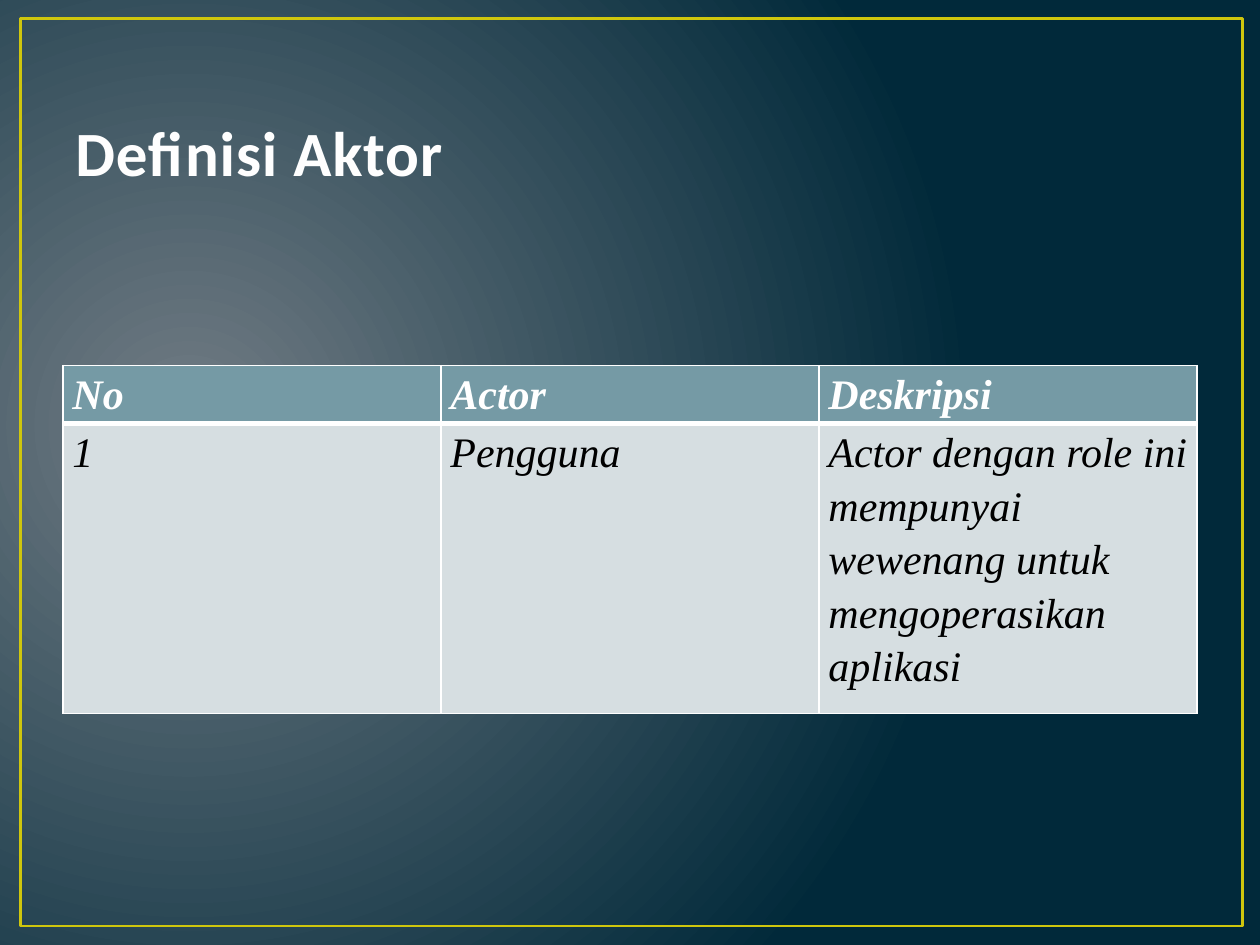
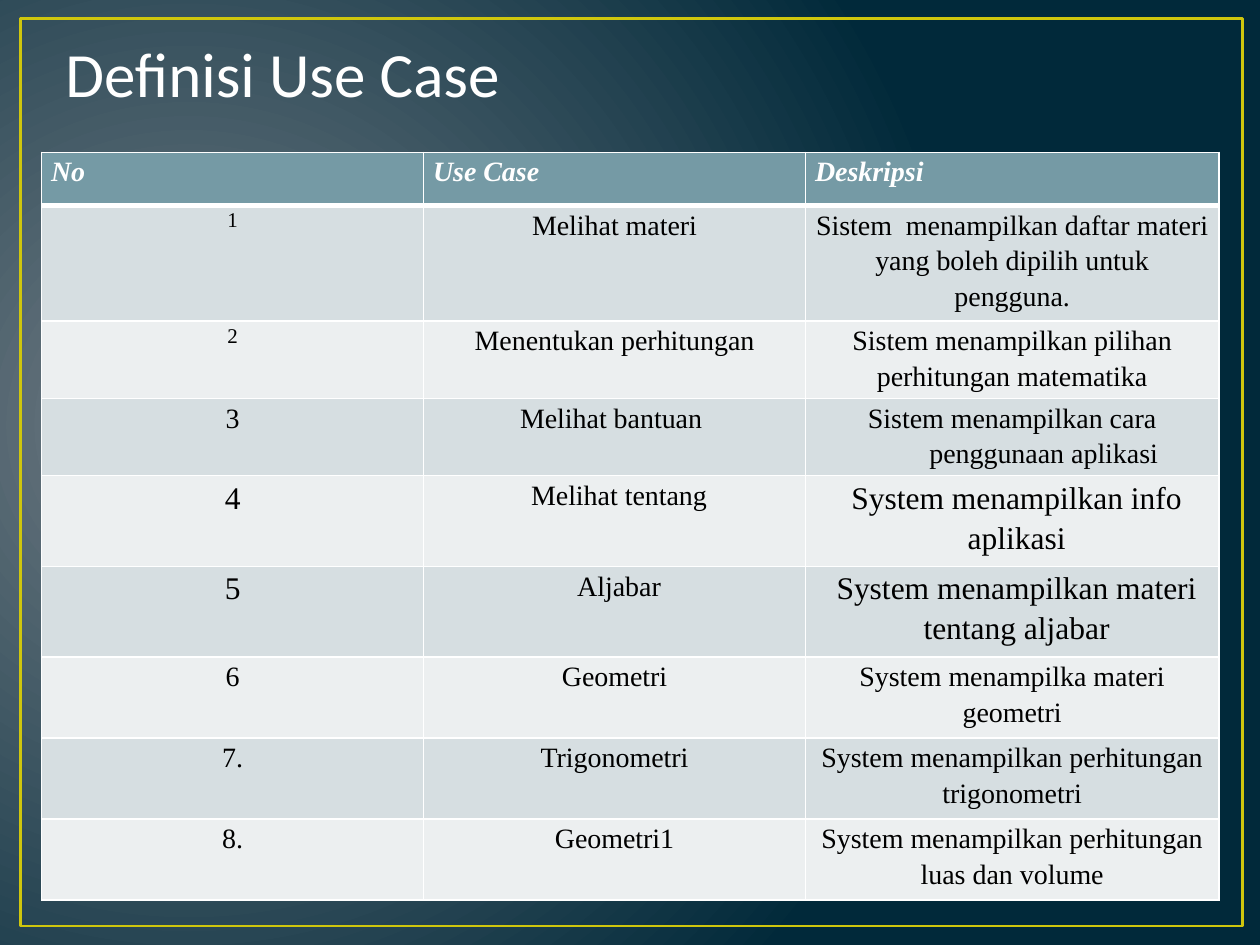
"""Build two slides that define the actor and the use cases of an application."""
from lxml.etree import SubElement
from pptx import Presentation
from pptx.dml.color import RGBColor
from pptx.enum.shapes import MSO_SHAPE
from pptx.enum.text import MSO_ANCHOR, PP_ALIGN
from pptx.oxml import parse_xml
from pptx.oxml.ns import nsdecls, qn
from pptx.util import Cm, Pt

COLORS = {
    "glow": "717C84", "night": "01293A", "frame": "CFC60D", "white": "FFFFFF",
    "title": "FEFEFE", "outline": "384F55", "header": "759AA5",
    "odd": "D6DEE1", "even": "ECEFF0", "ink": "000000",
}
TITLE_FONT, TABLE_FONT = "Calibri", "Times New Roman"

ACTOR_HEADER = ("No", "Actor", "Deskripsi")
ACTOR_ROWS = [
    ("plain", 1.04, (24, 24, 24),
     ("1", "Pengguna", "Actor dengan role ini mempunyai wewenang untuk mengoperasikan aplikasi")),
]
USE_CASE_HEADER = ("No", "Use Case", "Deskripsi")
USE_CASE_ROWS = [
    ("plain", 2.16, (12, 16, 16),
     ("1", "Melihat materi", "Sistem  menampilkan daftar materi yang boleh dipilih untuk pengguna.")),
    ("plain", 1.42, (12, 16, 16),
     ("2", "Menentukan perhitungan", "Sistem menampilkan pilihan perhitungan matematika")),
    ("hanging", 1.42, (16, 16, 16),
     ("3", "Melihat bantuan ", "Sistem menampilkan cara penggunaan aplikasi")),
    ("indented", 1.83, (18, 16, 18),
     ("4", "Melihat tentang", "System menampilkan info aplikasi")),
    ("indented", 1.83, (18, 16, 18),
     ("5", "Aljabar", "System menampilkan materi tentang aljabar")),
    ("spaced", 1.63, (16, 16, 16),
     ("6", "Geometri", "System menampilka materi geometri")),
    ("spaced", 1.63, (16, 16, 16),
     ("7.", "Trigonometri", "System menampilkan perhitungan trigonometri")),
    ("spaced", 1.63, (16, 16, 16),
     ("8.", "Geometri1", "System menampilkan perhitungan luas dan volume")),
]


def set_background(slide):
    fill = slide.background.fill
    fill.gradient()
    gradient = parse_xml(
        f'<a:gradFill {nsdecls("a")} rotWithShape="1"><a:gsLst>'
        f'<a:gs pos="0"><a:srgbClr val="{COLORS["glow"]}"/></a:gs>'
        f'<a:gs pos="100000"><a:srgbClr val="{COLORS["night"]}"/></a:gs></a:gsLst>'
        '<a:path path="circle"><a:fillToRect l="15000" t="50000" r="85000" b="60000"/></a:path>'
        '</a:gradFill>')
    properties = slide.element.find(".//" + qn("p:bgPr"))
    properties.replace(properties.find(qn("a:gradFill")), gradient)


def add_framed_slide(presentation):
    slide = presentation.slides.add_slide(presentation.slide_layouts[6])
    set_background(slide)
    frame = slide.shapes.add_shape(MSO_SHAPE.RECTANGLE, Cm(0.41), Cm(0.38), Cm(24.64), Cm(18.29))
    frame.shadow.inherit = False
    frame.fill.background()
    frame.line.color.rgb = RGBColor.from_string(COLORS["frame"])
    frame.line.width = Pt(1.5)
    return slide


def style_font(font, name, size, color, bold=False, italic=False):
    font.name, font.size, font.bold, font.italic = name, Pt(size), bold, italic
    font.color.rgb = RGBColor.from_string(COLORS[color])


def add_title(slide, text, box, color="white", bold=False, wrap=False):
    shape = slide.shapes.add_textbox(*map(Cm, box))
    shape.text_frame.word_wrap = wrap
    paragraph = shape.text_frame.paragraphs[0]
    paragraph.text = text
    style_font(paragraph.font, TITLE_FONT, 36, color, bold)
    return shape


def emphasize(shape):
    """Space out and outline the letters of a title."""
    shape.text_frame.vertical_anchor = MSO_ANCHOR.BOTTOM
    properties = shape.text_frame.paragraphs[0].runs[0].font._element
    properties.set("spc", "50")
    line = SubElement(properties, qn("a:ln"), w=str(Pt(1.05)))
    SubElement(SubElement(line, qn("a:solidFill")), qn("a:srgbClr"), val=COLORS["outline"])


def set_borders(cell, top, bottom):
    properties = cell._tc.get_or_add_tcPr()
    for position, (side, width) in enumerate((("L", 1), ("R", 1), ("T", top), ("B", bottom))):
        properties.insert(position, parse_xml(
            f'<a:ln{side} {nsdecls("a")} w="{Pt(width)}"><a:solidFill>'
            f'<a:srgbClr val="{COLORS["white"]}"/></a:solidFill></a:ln{side}>'))


def set_layout(paragraph, layout, column):
    properties = paragraph._p.get_or_add_pPr()
    if layout == "hanging":
        properties.set("marL", str(Cm(1.27)))
        properties.set("indent", str(-Cm(1.27)))
    if layout == "indented" and column > 0:
        properties.set("marL", str(Cm(0.18)))
    if layout in ("hanging", "spaced"):
        paragraph.space_before, paragraph.space_after = Pt(12), Pt(3)


def fill_cell(cell, text, fill):
    cell.margin_left = cell.margin_right = Cm(0.19)
    cell.margin_top = cell.margin_bottom = 0
    cell.fill.solid()
    cell.fill.fore_color.rgb = RGBColor.from_string(COLORS[fill])
    paragraph = cell.text_frame.paragraphs[0]
    paragraph.text = text
    paragraph.line_spacing = 1.15
    return paragraph


def add_definitions(slide, left, top, widths, header, header_height, header_size, rows,
                    alignment, italic):
    heights = [header_height] + [height for _, height, _, _ in rows]
    table = slide.shapes.add_table(len(heights), len(widths), Cm(left), Cm(top),
                                   Cm(sum(widths)), Cm(sum(heights))).table
    for column, width in zip(table.columns, widths):
        column.width = Cm(width)
    for row, height in zip(table.rows, heights):
        row.height = Cm(height)
    for column, text in enumerate(header):
        cell = table.cell(0, column)
        paragraph = fill_cell(cell, text, "header")
        style_font(paragraph.font, TABLE_FONT, header_size, "white", True, True)
        set_borders(cell, 1, 3)
    for number, (layout, _, sizes, texts) in enumerate(rows, 1):
        for column, (text, size) in enumerate(zip(texts, sizes)):
            cell = table.cell(number, column)
            paragraph = fill_cell(cell, text, "odd" if number % 2 else "even")
            paragraph.alignment = alignment
            set_layout(paragraph, layout, column)
            style_font(paragraph.font, TABLE_FONT, size, "ink", False, italic)
            set_borders(cell, 3 if number == 1 else 1, 1)


def main():
    presentation = Presentation()
    presentation.slide_width, presentation.slide_height = Cm(25.4), Cm(19.05)

    actor_slide = add_framed_slide(presentation)
    emphasize(add_title(actor_slide, "Definisi Aktor", (1.27, 0.76, 22.86, 3.18), "title", True, True))
    add_definitions(actor_slide, 1.27, 7.37, (7.62, 7.62, 7.62), ACTOR_HEADER, 1.04, 24,
                    ACTOR_ROWS, PP_ALIGN.LEFT, True)

    use_case_slide = add_framed_slide(presentation)
    add_definitions(use_case_slide, 0.84, 3.07, (7.7, 7.7, 8.33), USE_CASE_HEADER, 1.07, 16,
                    USE_CASE_ROWS, PP_ALIGN.CENTER, False)
    add_title(use_case_slide, "Definisi Use Case", (1.07, 0.58, 9.3, 1.8))

    presentation.save("out.pptx")


if __name__ == "__main__":
    main()
